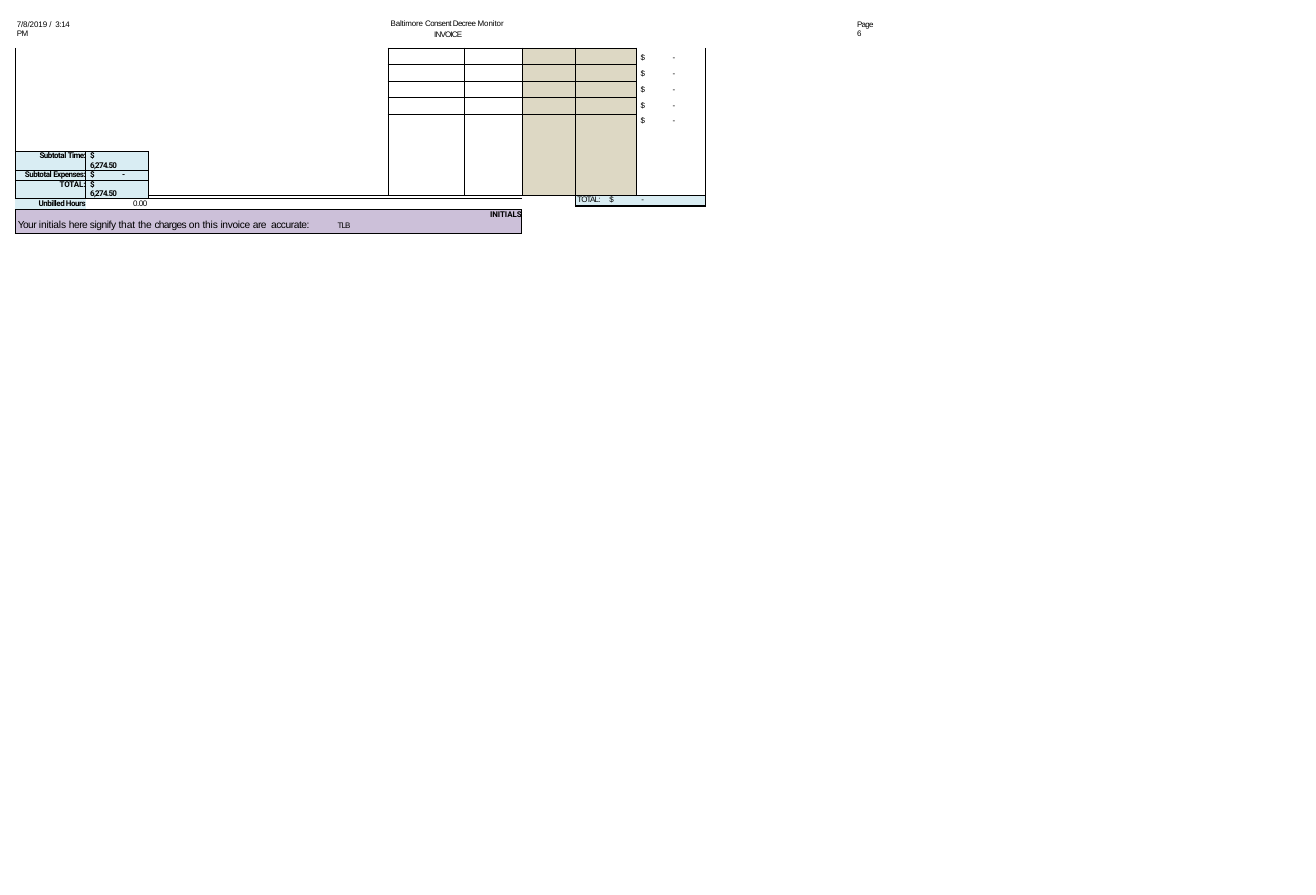
from dataclasses import dataclass

import pptx
import pptx.dml.color
import pptx.enum.text
import pptx.oxml
import pptx.oxml.ns
import pptx.util

Pt = pptx.util.Pt
RIGHT = pptx.enum.text.PP_ALIGN.RIGHT
NO_STYLE = "{2D5ABB26-0587-4C30-8999-92F81FD0307C}"


@dataclass(frozen=True)
class Type:
    font: str
    size: float
    bold: bool = False


@dataclass(frozen=True)
class Theme:
    ink: str = "000000"
    tan: str = "DDD8C4"
    blue: str = "D9EDF3"
    lilac: str = "CCC0D9"
    body: Type = Type("Arial", 9)
    label: Type = Type("Roboto", 9, True)
    statement: Type = Type("Arial", 11.5)
    empty_size: float = 8
    thin: float = 0.75
    thick: float = 1.5


THEME = Theme()
THIN, THICK = THEME.thin, THEME.thick


@dataclass
class Line:
    spans: list
    style: Type = THEME.body
    left: float = 0
    hanging: float = 0
    tabs: tuple = ()
    align: object = None
    spacing: object = None
    before: float = 0


def add_span(para, text, tracking, style):
    span = para.add_run()
    span.text = text
    span.font.name = style.font
    span.font.size = Pt(style.size)
    span.font.bold = style.bold
    span.font.color.rgb = pptx.dml.color.RGBColor.from_string(THEME.ink)
    span.font._element.set("spc", str(round(tracking * 100)))


def write_lines(frame, lines):
    for index, line in enumerate(lines):
        para = frame.paragraphs[0] if index == 0 else frame.add_paragraph()
        properties = para._p.get_or_add_pPr()
        properties.set("marL", str(Pt(line.left)))
        properties.set("indent", str(Pt(line.hanging)))
        if line.tabs:
            stops = pptx.oxml.ns.qn("a:tabLst")
            stop_list = properties.makeelement(stops, {})
            properties.append(stop_list)
            for stop in line.tabs:
                mark = stop_list.makeelement(
                    pptx.oxml.ns.qn("a:tab"), {"pos": str(Pt(stop)), "algn": "l"})
                stop_list.append(mark)
        if line.align is not None:
            para.alignment = line.align
        if line.spacing is not None:
            para.line_spacing = line.spacing
        if line.before:
            para.space_before = Pt(line.before)
        for text, tracking, *style in line.spans:
            add_span(para, text, tracking, style[0] if style else line.style)


def add_header(page, left, top, width, height, line):
    box = page.shapes.add_textbox(Pt(left), Pt(top), Pt(width), Pt(height))
    frame = box.text_frame
    frame.word_wrap = True
    frame.auto_size = pptx.enum.text.MSO_AUTO_SIZE.SHAPE_TO_FIT_TEXT
    frame.margin_left = frame.margin_right = frame.margin_bottom = 0
    frame.margin_top = Pt(0.9)
    write_lines(frame, [line])


def add_grid(page, left, top, widths, heights):
    frame = page.shapes.add_table(
        len(heights), len(widths), Pt(left), Pt(top), Pt(sum(widths)), Pt(sum(heights)))
    table = frame.table
    table.first_row = table.horz_banding = False
    table._tbl.tblPr.find(pptx.oxml.ns.qn("a:tableStyleId")).text = NO_STYLE
    for column, width in zip(table.columns, widths):
        column.width = Pt(width)
    for row, height in zip(table.rows, heights):
        row.height = Pt(height)
    for cell in table.iter_cells():
        cell.margin_left = cell.margin_right = cell.margin_top = cell.margin_bottom = 0
        ending = cell.text_frame.paragraphs[0]._p.get_or_add_endParaRPr()
        ending.set("sz", str(round(THEME.empty_size * 100)))
    return table


def fill_cell(table, row, column, borders, fill=None, lines=(), span=(1, 1), inset=0):
    cell = table.cell(row, column)
    if span != (1, 1):
        cell.merge(table.cell(row + span[0] - 1, column + span[1] - 1))
    properties = cell._tc.get_or_add_tcPr()
    for side in "LRTB":
        if side in borders:
            properties.append(pptx.oxml.parse_xml(
                f'<a:ln{side} {pptx.oxml.ns.nsdecls("a")} w="{Pt(borders[side])}">'
                f'<a:solidFill><a:srgbClr val="{THEME.ink}"/></a:solidFill></a:ln{side}>'))
    if fill:
        cell.fill.solid()
        cell.fill.fore_color.rgb = pptx.dml.color.RGBColor.from_string(fill)
    else:
        cell.fill.background()
    cell.margin_top = Pt(inset)
    write_lines(cell.text_frame, lines)


def add_charges(page):
    table = add_grid(page, 17.3, 54, [419.8, 85.7, 65.5, 59.8, 68.4, 77.8],
                     [18.7] * 5 + [12.2])
    frame = {"L": THICK, "R": THICK, "B": THICK}
    inner = {"L": THICK, "R": THIN, "T": THIN, "B": THIN}
    outer = {"L": THIN, "R": THICK, "T": THIN, "B": THIN}
    amounts = [Line([("$\t", -0.5), ("-", -0.2)], left=5, tabs=(61.9,), before=before)
               for before in (0, 7.8, 7.8, 7.8, 7.1)]
    fill_cell(table, 0, 0, frame, span=(5, 1))
    fill_cell(table, 0, 5, frame, lines=amounts, span=(5, 1), inset=6.5)
    for row in range(5):
        fill_cell(table, row, 1, inner)
        fill_cell(table, row, 2, outer)
        fill_cell(table, row, 3, inner, THEME.tan)
        fill_cell(table, row, 4, outer, THEME.tan)
    fill_cell(table, 5, 0, {"L": THICK, "R": THICK, "T": THICK}, span=(1, 4))
    total = Line([("TOTAL:\t", -0.9), ("$\t", -0.5), ("-", -0.2)],
                 left=2, tabs=(73.4, 130.3), spacing=Pt(10.3))
    fill_cell(table, 5, 4, {**frame, "T": THIN}, THEME.blue, [total], span=(1, 2))


def add_summary(page):
    table = add_grid(page, 17.3, 170.6, [79.2, 70.6, 420.5], [11.5, 11.5, 12.2, 12.2, 26.6])
    rows = [
        ([("Subtotal ", -0.5), ("Time:", -0.8)], [("$\t6,274.50", -0.8)], 34.6, 10.6),
        ([("Subtotal ", -0.5), ("Expenses:", -0.6)], [("$\t", -0.8), ("-", -0.6)], 54.7, 10.6),
        ([("TOTAL:", -0.05)], [("$\t6,274.50", -0.8)], 34.6, 10.3),
    ]
    for row, (name, amount, tab, spacing) in enumerate(rows):
        edges = {"T": THICK if row == 0 else THIN, "B": THICK if row == 2 else THIN}
        fill_cell(table, row, 0, {"L": THICK, "R": THIN, **edges}, THEME.blue,
                  [Line(name, THEME.label, align=RIGHT, spacing=Pt(spacing))])
        fill_cell(table, row, 1, {"L": THIN, "R": THICK, **edges}, THEME.blue,
                  [Line(amount, THEME.label, left=5, tabs=(tab,), spacing=Pt(spacing))])
    fill_cell(table, 0, 2, {"L": THICK}, span=(3, 1))

    rules = {"T": THICK, "B": THICK}
    fill_cell(table, 3, 0, rules, THEME.blue,
              [Line([("Unbilled Hours", -0.5)], THEME.label, align=RIGHT, spacing=Pt(10.3))])
    fill_cell(table, 3, 1, rules, span=(1, 2),
              lines=[Line([("0.00", -0.5)], left=53.3, spacing=Pt(10.3))])

    initials = Line([("INITIALS", -0.05)], THEME.label, align=RIGHT, spacing=Pt(10.6))
    statement = Line(
        [("Your ", -0.7), ("initials ", -0.2), ("here signify ", -0.5), ("that ", -0.1),
         ("the ", -0.2), ("charges ", -0.8), ("on ", -0.3), ("this ", -0.2),
         ("invoice ", -0.4), ("are  accurate:\t", -0.5), ("TLB", -1.1, THEME.body)],
        THEME.statement, left=2.9, tabs=(509.8,), before=0.5)
    initials.spans = [("INITIALS", -0.05)]
    fill_cell(table, 4, 0, dict.fromkeys("LRTB", THICK), THEME.lilac,
              [initials, statement], span=(1, 3))


def main():
    deck = pptx.Presentation()
    deck.slide_width, deck.slide_height = Pt(1481.76), Pt(1008)
    page = deck.slides.add_slide(deck.slide_layouts[6])
    add_header(page, 18, 20.9, 74.2, 13, Line(
        [("7/8/2019 ", -0.1), ("/ ", 0.9), ("3:14 ", -0.4), ("PM", -0.6)], left=0.9))
    add_header(page, 439.2, 19.4, 129.6, 25.2, Line(
        [("Baltimore ", -0.2), ("Consent Decree ", -0.6), ("Monitor ", -0.1),
         ("INVOICE", -0.9)], left=49.7, hanging=-49, spacing=1.08))
    add_header(page, 964.1, 20.9, 25.9, 13, Line([("Page ", -0.8), ("6", -0.5)], left=0.9))
    add_charges(page)
    add_summary(page)
    deck.save("out.pptx")


if __name__ == "__main__":
    main()
